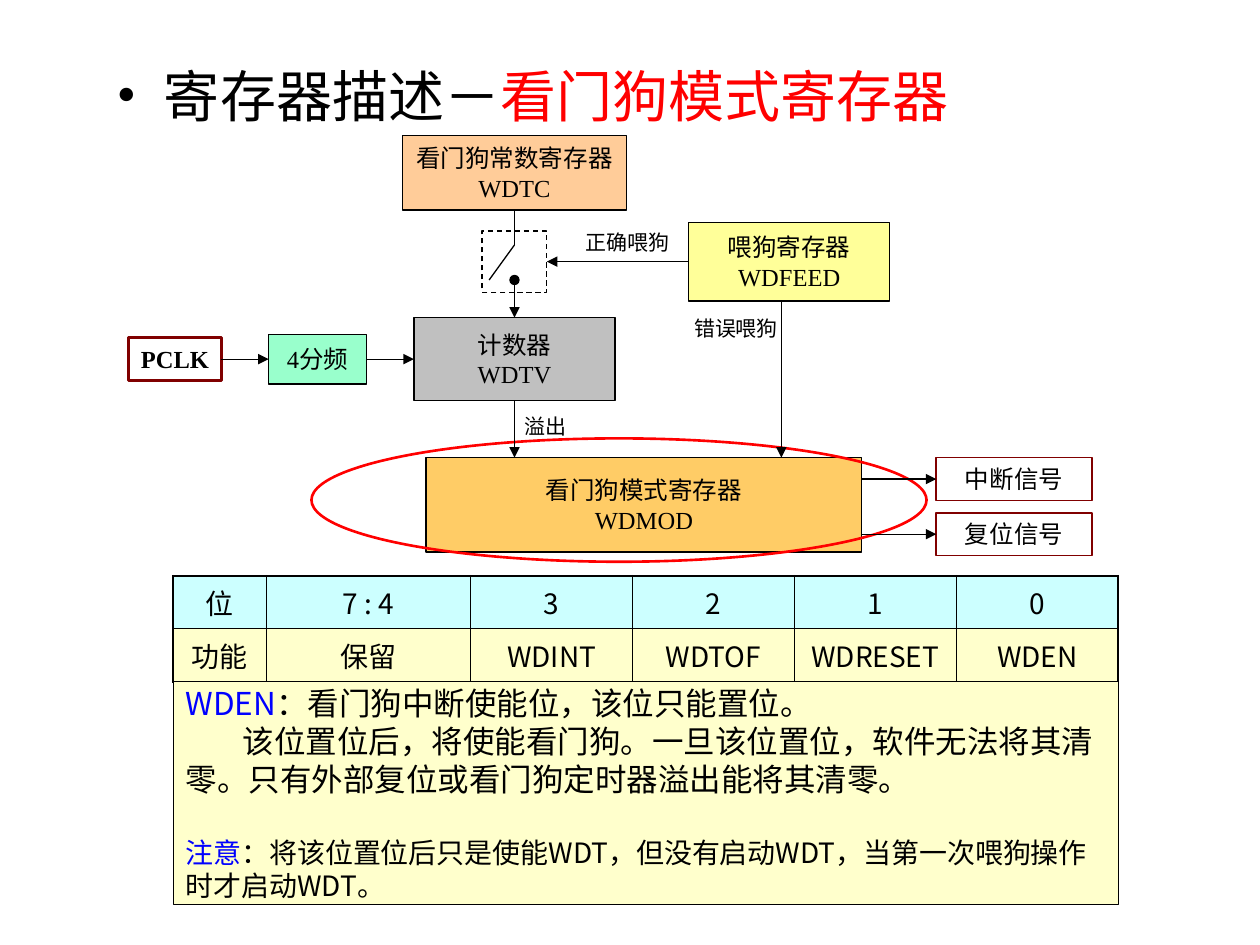
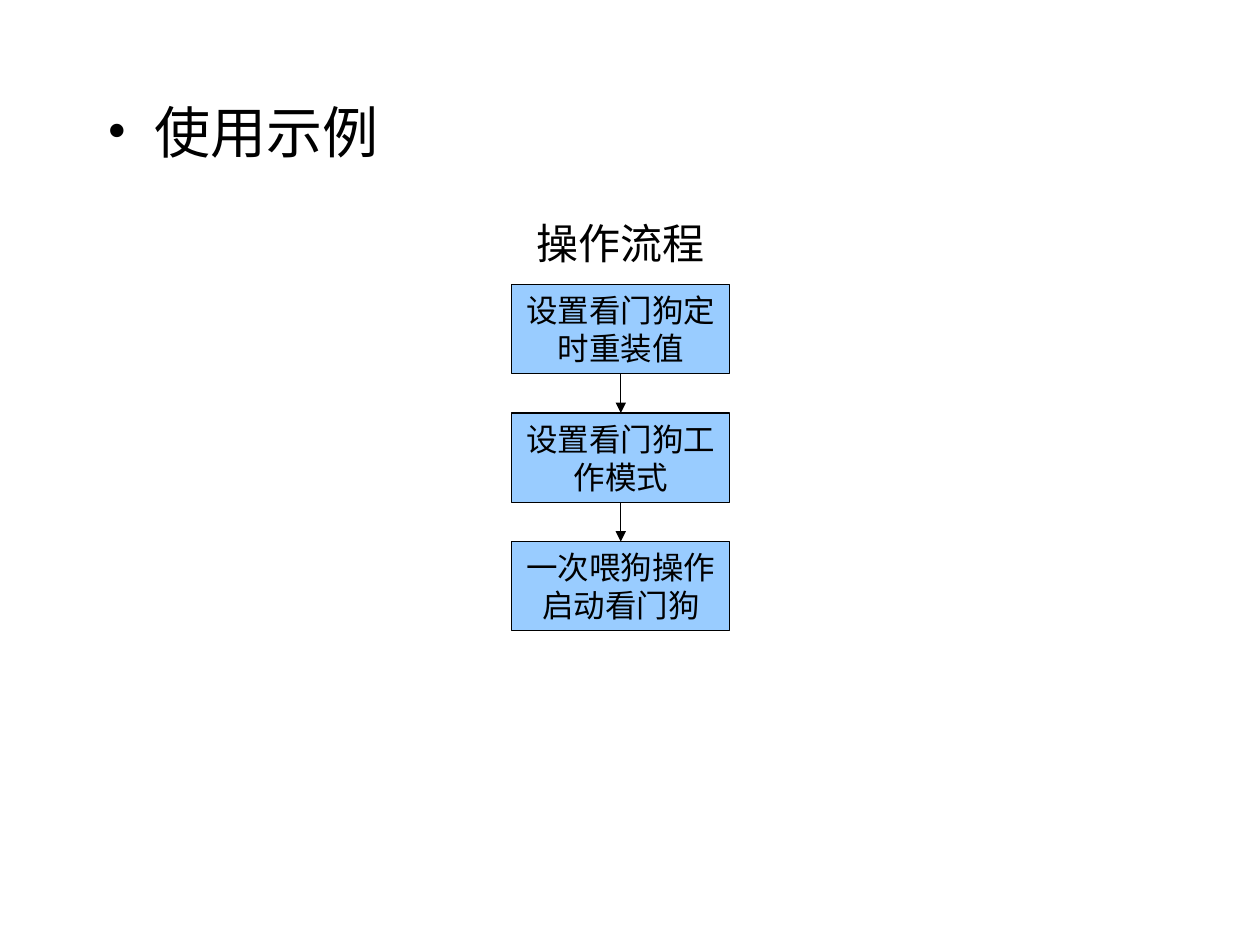
"""Two slides on the watchdog mode register and how to start the watchdog."""
from lxml.etree import SubElement
from pptx import Presentation
from pptx.dml.color import RGBColor
from pptx.enum.dml import MSO_LINE
from pptx.enum.shapes import MSO_CONNECTOR, MSO_SHAPE
from pptx.enum.text import MSO_ANCHOR as ANCHOR, MSO_AUTO_SIZE, PP_ALIGN as ALIGN
from pptx.oxml.ns import qn
from pptx.util import Pt

COLORS = {
    "black": "000000", "red": "FF0000", "blue": "0000FF", "maroon": "800000",
    "peach": "FFCC99", "yellow": "FFFF99", "mint": "99FFCC", "grey": "C0C0C0",
    "orange": "FFCC66", "cyan": "CCFFFF", "cream": "FFFFCC", "sky": "99CCFF",
}
RGB = {name: RGBColor.from_string(value) for name, value in COLORS.items()}


def write(tf, text, size=14, font="Times New Roman", colors=("black",), bold=False,
          align=ALIGN.CENTER, anchor=ANCHOR.MIDDLE, wrap=True, bullet=False):
    """Fill a frame; lines break at newlines, runs at bars, and the last run takes the last colour."""
    tf.auto_size = MSO_AUTO_SIZE.NONE
    tf.word_wrap = wrap
    tf.vertical_anchor = anchor
    for i, line in enumerate(text.split("\n")):
        p = tf.paragraphs[0] if i == 0 else tf.add_paragraph()
        p.alignment = align
        if bullet:
            pPr = p._p.get_or_add_pPr()
            pPr.set("marL", str(Pt(27)))
            pPr.set("indent", str(-Pt(27)))
            SubElement(pPr, qn("a:buFont")).set("typeface", font)
            SubElement(pPr, qn("a:buChar")).set("char", "•")
        parts = line.split("|")
        for part, color in zip(parts, colors[-len(parts):]):
            r = p.add_run()
            r.text = part
            r.font.name = font
            r.font.size = Pt(size)
            r.font.bold = bold
            r.font.color.rgb = RGB[color]


def connect(s, start, end, begin=None, finish=None, head=None, tail="triangle"):
    """Draw a straight line between two points, joined to (shape, site) pairs where given."""
    c = s.shapes.add_connector(MSO_CONNECTOR.STRAIGHT, *map(Pt, start + end))
    if begin:
        c.begin_connect(*begin)
    if finish:
        c.end_connect(*finish)
    c.line.color.rgb = RGB["black"]
    c.line.width = Pt(0.75)
    spPr = c.element.spPr
    for tag, kind in (("a:headEnd", head), ("a:tailEnd", tail)):
        if kind:
            SubElement(spPr.find(qn("a:ln")), qn(tag)).set("type", kind)
    SubElement(spPr, qn("a:effectLst"))


prs = Presentation()
prs.slide_width, prs.slide_height = Pt(720), Pt(540)

slides = []
for heading, colors, left, top in (
    ("寄存器描述－|看门狗模式寄存器", ("black", "red"), 59.5, 31.5),
    ("使用示例", ("black",), 54, 52),
):
    s = prs.slides.add_slide(prs.slide_layouts[5])
    title = s.shapes.title
    title.left, title.top, title.width, title.height = map(Pt, (left, top, 590, 48))
    write(title.text_frame, heading, size=32, colors=colors, align=ALIGN.LEFT,
          anchor=ANCHOR.TOP, bullet=True)
    slides.append(s)
register, example = slides

rows = (("位", "7 : 4", "3", "2", "1", "0"),
        ("功能", "保留", "WDINT", "WDTOF", "WDRESET", "WDEN"))
widths = (53, 117) + (92.5,) * 4
table = register.shapes.add_table(2, 6, Pt(99), Pt(329), Pt(sum(widths)), Pt(60.5)).table
table.first_row = table.horz_banding = False
for col, width in zip(table.columns, widths):
    col.width = Pt(width)
for y, (row, fill) in enumerate(zip(rows, ("cyan", "cream"))):
    table.rows[y].height = Pt(30.25)
    for x, text in enumerate(row):
        cell = table.cell(y, x)
        tcPr = cell._tc.get_or_add_tcPr()
        for tag, outer in (("a:lnL", x == 0), ("a:lnR", x == 5),
                           ("a:lnT", y == 0), ("a:lnB", y == 1)):
            ln = SubElement(tcPr, qn(tag))
            ln.set("w", str(Pt(1.08 if outer else 0.45)))
            SubElement(SubElement(ln, qn("a:solidFill")), qn("a:srgbClr")).set("val", COLORS["black"])
        cell.fill.solid()
        cell.fill.fore_color.rgb = RGB[fill]
        write(cell.text_frame, text, size=16, font="Noto Sans CJK SC")
        cell.vertical_anchor = ANCHOR.MIDDLE

steps = ("设置看门狗定时重装值", "设置看门狗工作模式", "一次喂狗操作\n启动看门狗")
RECT, OVAL = MSO_SHAPE.RECTANGLE, MSO_SHAPE.OVAL
boxes = [
    (register, "note", RECT, "", (99, 389.5, 540, 127.5), "cream", "black", 0.75),
    (register, "interrupt", RECT, "中断信号", (535, 261.5, 89, 24.5), None, "maroon", 1),
    (register, "reset", RECT, "复位信号", (535, 293, 89, 24.5), None, "maroon", 1),
    (register, "divider", RECT, "4分频", (153.5, 191, 56, 28.5), "mint", "black", 0.75),
    (register, "feed", RECT, "喂狗寄存器\nWDFEED", (393.5, 127, 115, 45), "yellow", "black", 0.75),
    (register, "clock", RECT, "PCLK", (73.5, 193, 53, 24.5), None, "maroon", 1.5),
    (register, "constant", RECT, "看门狗常数寄存器\nWDTC", (230, 77.5, 128, 42.5), "peach", "black", 0.75),
    (register, "switch", RECT, "", (275.5, 132, 37, 35), None, "black", 0.75),
    (register, "counter", RECT, "计数器\nWDTV", (236.5, 181.5, 115, 47.5), "grey", "black", 0.75),
    (register, "mode", RECT, "看门狗模式寄存器\nWDMOD", (243.5, 261.5, 249, 54), "orange", "black", 0.75),
    (register, "highlight", OVAL, "", (178, 250.5, 351.5, 70.5), None, "red", 1.5),
] + [
    (example, i, RECT, step, (292.5, 162.5 + 73.5 * i, 124.5, 51), "sky", "black", 0.75)
    for i, step in enumerate(steps)
]
shapes = {}
for s, name, kind, text, box, fill, line, width in boxes:
    sp = shapes[name] = s.shapes.add_shape(kind, *map(Pt, box))
    sp.shadow.inherit = False
    if fill:
        sp.fill.solid()
        sp.fill.fore_color.rgb = RGB[fill]
    else:
        sp.fill.background()
    sp.line.color.rgb = RGB[line]
    sp.line.width = Pt(width)
    if text:
        write(sp.text_frame, text, size=18 if s is example else 14,
              bold=name == "clock", wrap=s is example)
shapes["switch"].line.dash_style = MSO_LINE.DASH

tf = shapes["note"].text_frame
write(tf, "WDEN|：看门狗中断使能位，该位只能置位。\n"
          "该位置位后，将使能看门狗。一旦该位置位，软件无法将其清零。只有外部复位或看门狗定时器溢出能将其清零。\n"
          "注意|：将该位置位后只是使能WDT，但没有启动WDT，当第一次喂狗操作时才启动WDT。",
      size=18, font="Noto Sans CJK JP", colors=("blue", "black"), align=ALIGN.LEFT)
tf.paragraphs[1]._p.get_or_add_pPr().set("indent", str(Pt(32.5)))
tf.paragraphs[2].space_before = Pt(21.5)
for r in tf.paragraphs[2].runs:
    r.font.size = Pt(16)

for s, text, box, size, align in (
    (register, "正确喂狗", (327.5, 127.5, 62, 21.5), 12, ALIGN.LEFT),
    (register, "错误喂狗", (389.5, 176.5, 62, 21.5), 12, ALIGN.LEFT),
    (register, "溢出", (292.5, 232.5, 38, 21.5), 12, ALIGN.LEFT),
    (example, "操作流程", (298, 121, 113, 36), 24, ALIGN.CENTER),
):
    tf = s.shapes.add_textbox(*map(Pt, box)).text_frame
    write(tf, text, size=size, align=align, anchor=ANCHOR.TOP, wrap=False)

axis, contact = 294, (294, 140)
connect(register, (axis, 120), contact, begin=(shapes["constant"], 2), tail=None)
connect(register, contact, (279.5, 160), tail=None)
connect(register, (axis, 160), (axis, 181.5), finish=(shapes["counter"], 0), head="oval")
connect(register, (axis, 229), (axis, 261.5), begin=(shapes["counter"], 2))
connect(register, (446.5, 172), (446.5, 261.5))
for name, y in (("interrupt", 273.75), ("reset", 305.25)):
    connect(register, (492.5, y), (535, y), finish=(shapes[name], 1))
for start, end, x1, x2, y, sites in (
    ("feed", "switch", 393.5, 312.5, 149.5, (1, 3)),
    ("clock", "divider", 126.5, 153.5, 205.25, (3, 1)),
    ("divider", "counter", 209.5, 236.5, 205.25, (3, 1)),
):
    connect(register, (x1, y), (x2, y), begin=(shapes[start], sites[0]), finish=(shapes[end], sites[1]))
for i in range(len(steps) - 1):
    y = 213.5 + 73.5 * i
    connect(example, (354.75, y), (354.75, y + 22.5), begin=(shapes[i], 2), finish=(shapes[i + 1], 0))

prs.save("out.pptx")
